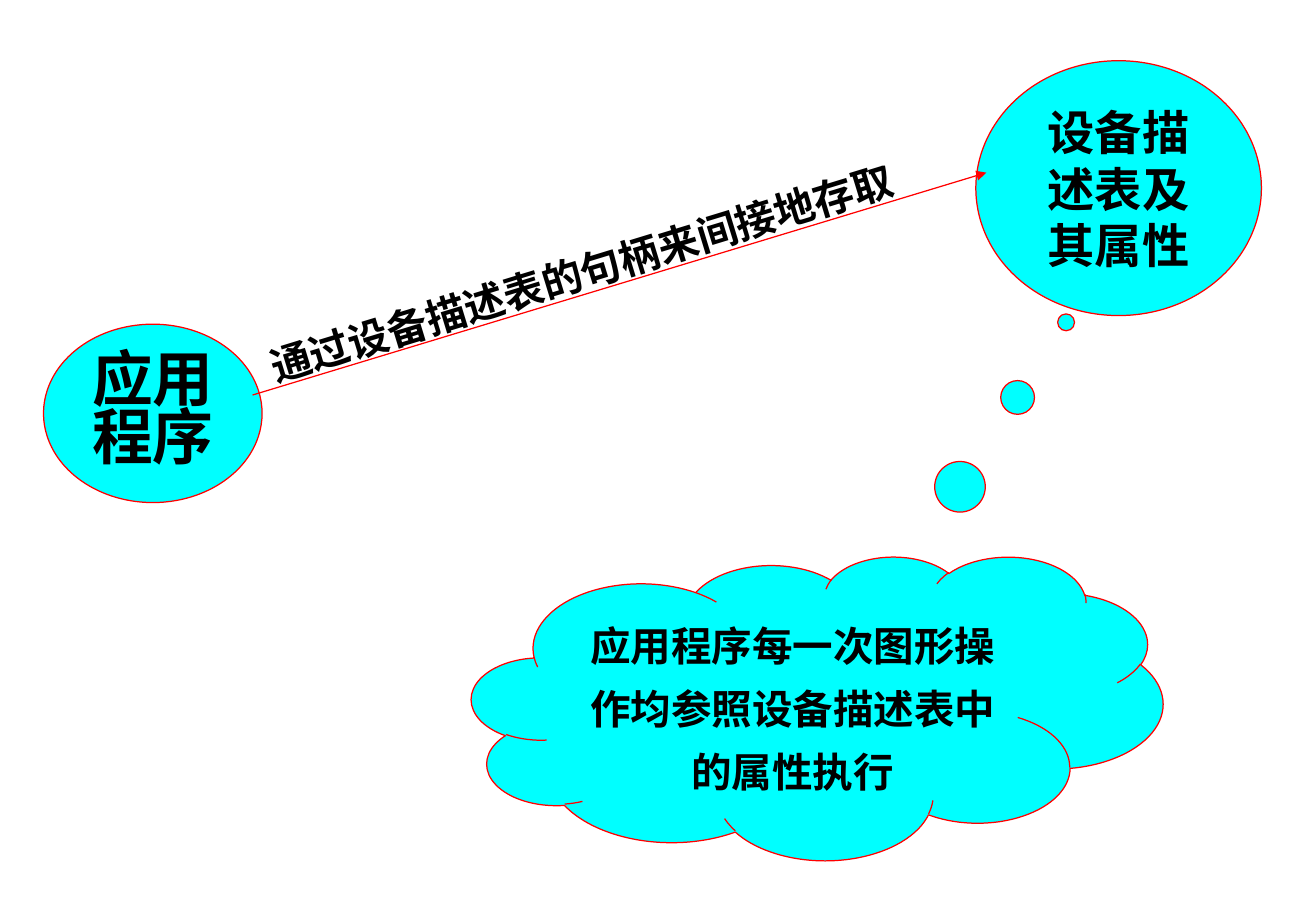
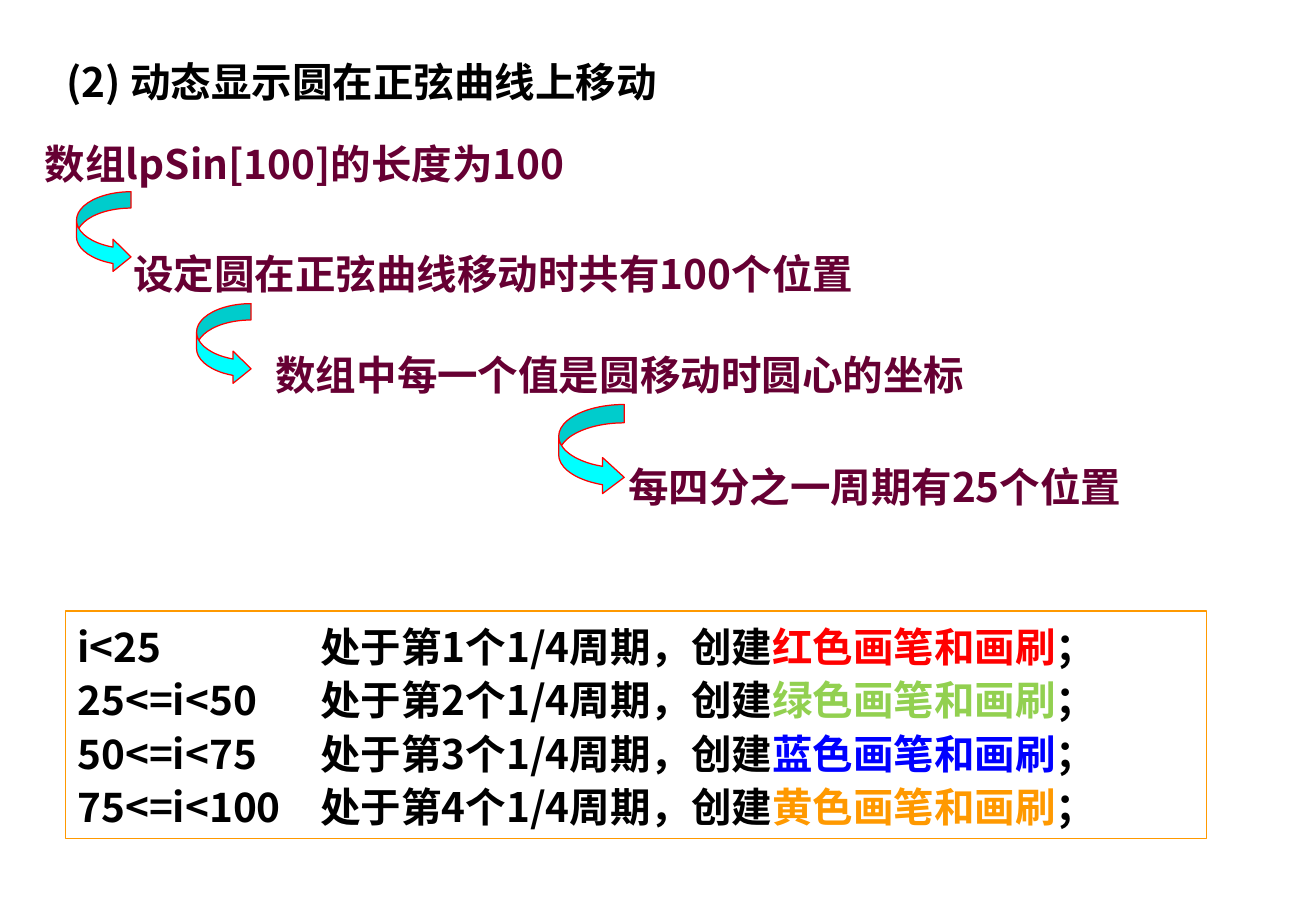
import lxml.etree
import pptx
import pptx.dml.color
import pptx.enum.shapes
import pptx.enum.text
import pptx.oxml.ns
import pptx.util

Cm = pptx.util.Cm
RGBColor = pptx.dml.color.RGBColor
SHAPE = pptx.enum.shapes.MSO_SHAPE
ALIGN = pptx.enum.text.PP_ALIGN
ANCHOR = pptx.enum.text.MSO_ANCHOR

BLACK = RGBColor(0x00, 0x00, 0x00)
CYAN = RGBColor(0x00, 0xFF, 0xFF)
RED = RGBColor(0xFF, 0x00, 0x00)
GREEN = RGBColor(0x92, 0xD0, 0x50)
BLUE = RGBColor(0x00, 0x00, 0xFF)
ORANGE = RGBColor(0xFF, 0x99, 0x00)
PLUM = RGBColor(0x66, 0x00, 0x33)

SERIF = "Times New Roman"
SANS = "Noto Sans CJK SC"


def add_xml(parent, tag, **attributes):
    return lxml.etree.SubElement(parent, pptx.oxml.ns.qn(tag), attributes)


def write(para, text, *, size=24, font=SANS, color=BLACK, align=ALIGN.LEFT, spacing=1.0):
    para.alignment = align
    para.line_spacing = spacing
    span = para.add_run()
    span.text = text
    span.font.size = pptx.util.Pt(size)
    span.font.bold = True
    span.font.name = font
    span.font.color.rgb = color
    add_xml(span.font._element, "a:ea", typeface=SANS)


class Painter:
    line_width = pptx.util.Pt(0.75)

    def __init__(self, deck):
        self.deck = deck
        self.slide = None

    def new_slide(self):
        self.slide = self.deck.slides.add_slide(self.deck.slide_layouts[6])

    def shape(self, kind, place, fill=CYAN, line=RED, adjust=()):
        box = self.slide.shapes.add_shape(kind, *map(Cm, place))
        box.shadow.inherit = False
        if fill is None:
            box.fill.background()
        else:
            box.fill.solid()
            box.fill.fore_color.rgb = fill
        box.line.color.rgb = line
        box.line.width = self.line_width
        for index, value in enumerate(adjust):
            box.adjustments[index] = value
        return box

    def bubble(self, kind, place, text, size, spacing=1.0, adjust=()):
        box = self.shape(kind, place, adjust=adjust)
        frame = box.text_frame
        frame.word_wrap = True
        frame.vertical_anchor = ANCHOR.MIDDLE
        write(frame.paragraphs[0], text, size=size, font=SERIF,
              align=ALIGN.CENTER, spacing=spacing)

    def label(self, place, text, wrap=False, rotation=0, **style):
        box = self.slide.shapes.add_textbox(*map(Cm, place))
        box.rotation = rotation
        frame = box.text_frame
        frame.word_wrap = wrap
        frame.auto_size = pptx.enum.text.MSO_AUTO_SIZE.SHAPE_TO_FIT_TEXT
        write(frame.paragraphs[0], text, **style)

    def arrow(self, *ends):
        line = self.slide.shapes.add_connector(
            pptx.enum.shapes.MSO_CONNECTOR.STRAIGHT, *map(Cm, ends))
        line.line.color.rgb = RED
        line.line.width = self.line_width
        add_xml(line.line._get_or_add_ln(), "a:tailEnd", type="triangle")
        add_xml(line._element.spPr, "a:effectLst")

    def case_box(self, place, cases, tab):
        box = self.shape(SHAPE.RECTANGLE, place, fill=None, line=ORANGE)
        frame = box.text_frame
        frame.word_wrap = True
        frame.vertical_anchor = ANCHOR.TOP
        for number, (condition, pen, color) in enumerate(cases, 1):
            para = frame.paragraphs[0] if number == 1 else frame.add_paragraph()
            tabs = add_xml(para._p.get_or_add_pPr(), "a:tabLst")
            add_xml(tabs, "a:tab", pos=str(Cm(tab)), algn="l")
            write(para, f"{condition}\t处于第{number}个1/4周期，创建", spacing=1.1)
            write(para, f"{pen}画笔和画刷", color=color, spacing=1.1)
            write(para, "；", spacing=1.1)


def build_access_slide(painter):
    painter.new_slide()
    painter.bubble(SHAPE.OVAL, (0.91, 6.78, 4.57, 3.73), "应用程序", 36, spacing=0.8)
    painter.bubble(SHAPE.OVAL, (20.4, 1.27, 5.97, 5.33), "设备描述表及其属性", 28)
    painter.arrow(5.28, 8.26, 20.62, 3.61)
    painter.label((5.13, 5.08, 15.27, 1.07), "通过设备描述表的句柄来间接地存取",
                  rotation=343, font=SERIF, spacing=0.8)
    painter.bubble(SHAPE.CLOUD_CALLOUT, (9.86, 11.63, 14.45, 6.35),
                   "应用程序每一次图形操作均参照设备描述表中的属性执行",
                   24, spacing=1.3, adjust=(0.36, -1.27))


def build_sine_slide(painter):
    painter.new_slide()
    painter.label((1.14, 1.07, 25.5, 1.27), "(2) 动态显示圆在正弦曲线上移动", wrap=True)
    steps = [
        (0.69, 2.97, 11.99, "数组lpSin[100]的长度为100"),
        (2.54, 5.28, 16.71, "设定圆在正弦曲线移动时共有100个位置"),
        (5.51, 7.39, 16.28, "数组中每一个值是圆移动时圆心的坐标"),
        (12.88, 9.73, 11.66, "每四分之一周期有25个位置"),
    ]
    for left, top, width, text in steps:
        painter.label((left, top, width, 1.07), text, color=PLUM, spacing=0.8)
    cases = [
        ("i<25", "红色", RED),
        ("25<=i<50", "绿色", GREEN),
        ("50<=i<75", "蓝色", BLUE),
        ("75<=i<100", "黄色", ORANGE),
    ]
    painter.case_box((1.37, 12.78, 23.85, 4.75), cases, tab=5.08)
    small, large = (0.3, 0.59, 0.33), (0.28, 0.55, 0.33)
    for place, adjust in [
        ((1.6, 4.01, 1.14, 1.7), small),
        ((4.11, 6.35, 1.14, 1.7), small),
        ((11.68, 8.46, 1.37, 1.9), large),
    ]:
        painter.shape(SHAPE.CURVED_RIGHT_ARROW, place, adjust=adjust)


def main():
    deck = pptx.Presentation()
    deck.slide_width = Cm(27.51)
    deck.slide_height = Cm(19.05)
    painter = Painter(deck)
    build_access_slide(painter)
    build_sine_slide(painter)
    deck.save("out.pptx")


if __name__ == "__main__":
    main()
